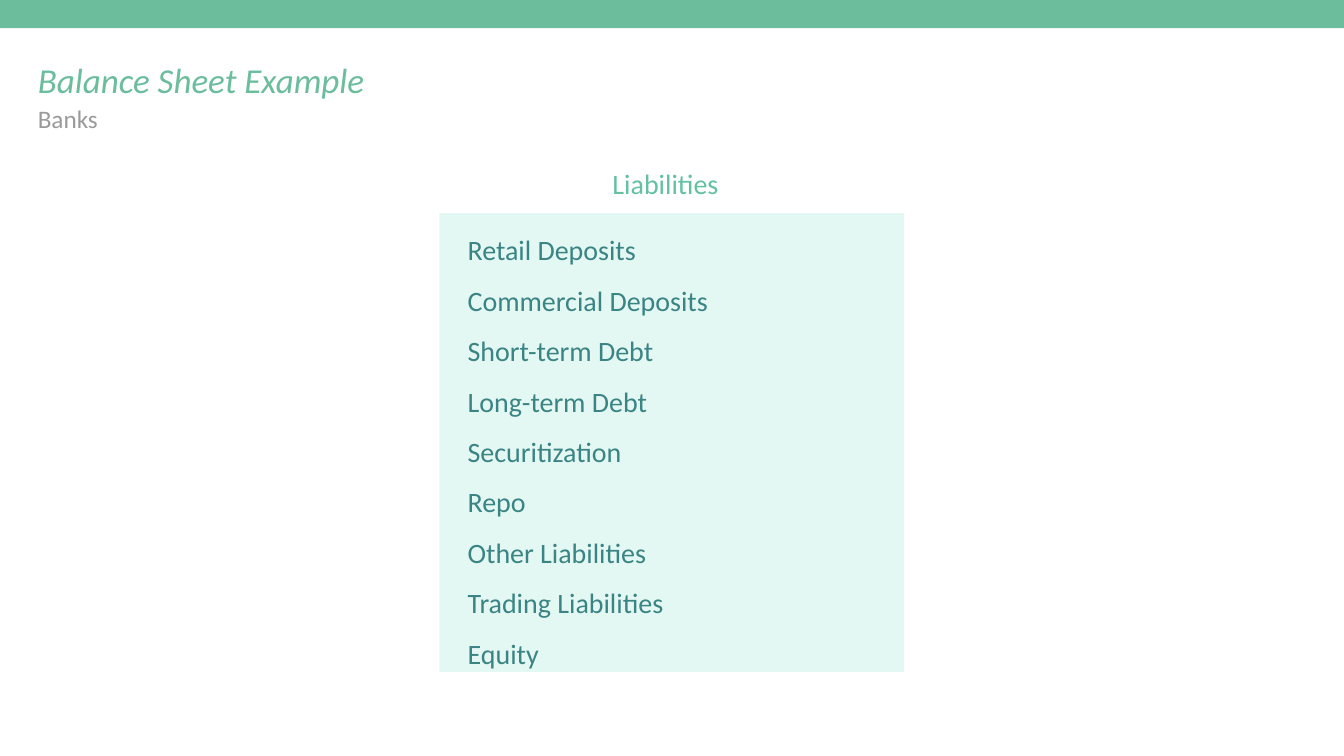
from pptx import Presentation
from pptx.dml.color import RGBColor as RGB
from pptx.enum.shapes import MSO_SHAPE as Shape
from pptx.enum.text import MSO_ANCHOR as Anchor, MSO_AUTO_SIZE as Fit, PP_ALIGN as Align
from pptx.util import Inches, Pt

GREEN = RGB(0x6B, 0xBD, 0x9C)
MINT = RGB(0x63, 0xC1, 0xA0)
PALE = RGB(0xE3, 0xF7, 0xF3)
TEAL = RGB(0x3A, 0x84, 0x84)
GRAY = RGB(0x9A, 0x9A, 0x9A)

ITEMS = [
    "Retail Deposits", "Commercial Deposits", "Short-term Debt",
    "Long-term Debt", "Securitization", "Repo", "Other Liabilities",
    "Trading Liabilities", "Equity",
]


class Page:
    font = "Calibri"
    pad = Inches(0.06)

    def __init__(self, slide):
        self.slide = slide

    def rect(self, box, fill):
        shape = self.slide.shapes.add_shape(Shape.RECTANGLE, *map(Inches, box))
        shape.shadow.inherit = False
        shape.fill.solid()
        shape.fill.fore_color.rgb = fill
        shape.line.fill.background()
        return shape

    def label(self, shape, lines, size, color, wrap=True, italic=None,
              align=Align.LEFT, anchor=Anchor.TOP):
        frame = shape.text_frame
        frame.text = "\n".join(lines)
        frame.word_wrap = wrap
        frame.auto_size = Fit.SHAPE_TO_FIT_TEXT
        frame.vertical_anchor = anchor
        frame.margin_left = frame.margin_right = self.pad
        frame.margin_top = frame.margin_bottom = self.pad
        for para in frame.paragraphs:
            para.alignment = align
            for run in para.runs:
                font = run.font
                font.name, font.size, font.italic = self.font, Pt(size), italic
                font.color.rgb = color

    def text(self, box, line, size, color, **style):
        shape = self.slide.shapes.add_textbox(*map(Inches, box))
        self.label(shape, [line], size, color, **style)

    def panel(self, box, fill, lines, size, color):
        shape = self.rect(box, fill)
        self.label(shape, lines, size, color)
        for para in shape.text_frame.paragraphs:
            para.level = 1
            para.line_spacing = 1.5
            props = para._p.get_or_add_pPr()
            props.set("marL", str(Inches(0.5)))
            props.set("indent", "0")


def main():
    deck = Presentation()
    deck.slide_width, deck.slide_height = Inches(26.67), Inches(15)
    page = Page(deck.slides.add_slide(deck.slide_layouts[6]))

    # Top band and headings
    page.rect((0, 0, 26.67, 0.56), GREEN)
    page.text((0.69, 1.11, 6.68, 0.95), "Balance Sheet Example", 50, GREEN,
              wrap=False, italic=True)
    page.text((0.69, 1.99, 1.32, 0.72), "Banks", 36, GRAY, wrap=False)

    # Liabilities panel
    page.panel((8.72, 4.23, 9.22, 9.1), PALE, ITEMS, 40, TEAL)
    page.text((9.36, 3.25, 7.69, 0.79), "Liabilities", 40, MINT,
              align=Align.CENTER, anchor=Anchor.MIDDLE)

    deck.save("out.pptx")


if __name__ == "__main__":
    main()
